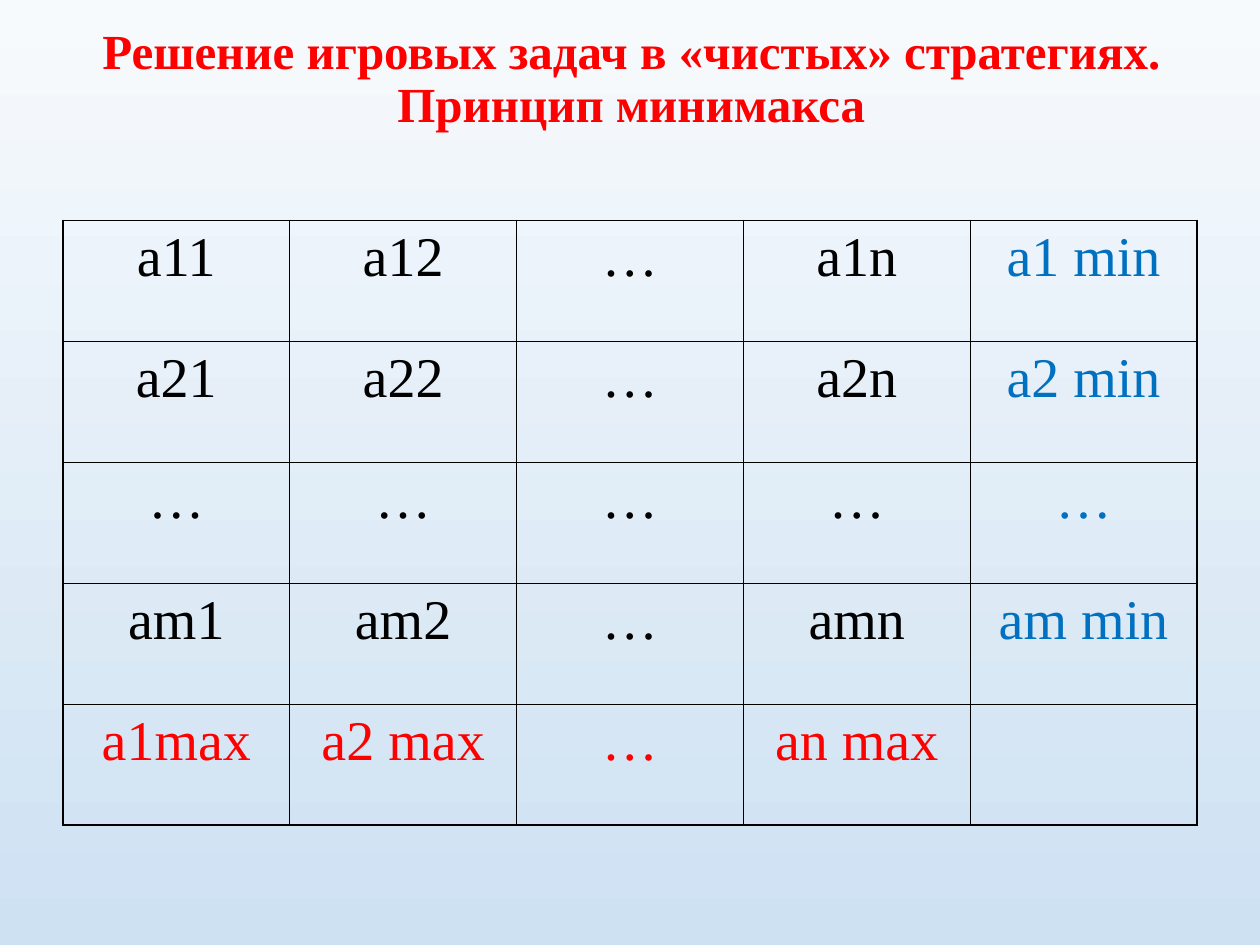
from lxml.etree import SubElement
from pptx import Presentation
from pptx.dml.color import RGBColor
from pptx.enum.text import MSO_ANCHOR, PP_ALIGN
from pptx.oxml.ns import qn
from pptx.util import Pt

COLORS = {
    "sky_top": "F7FAFD",
    "sky_bottom": "CEE1F2",
    "text": "000000",
    "border": "000000",
    "row_min": "0070C0",
    "col_max": "FF0000",
    "title": "FF0000",
}
TITLE = "Решение игровых задач в «чистых» стратегиях. Принцип минимакса"
PAYOFFS = [
    ["а11", "а12", "…", "а1n", "a1 min"],
    ["а21", "а22", "…", "а2n", "a2 min"],
    ["…", "…", "…", "…", "…"],
    ["аm1", "аm2", "…", "аmn", "am min"],
    ["а1max", "а2 max", "…", "аn max", ""],
]


class SlideBuilder:
    font = "Times New Roman"
    outer, inner = 1.08, 0.45

    def __init__(self, s):
        self.s = s

    def color(self, name):
        return RGBColor.from_string(COLORS[name])

    def background(self, top, bottom):
        fill = self.s.background.fill
        fill.gradient()
        fill.gradient_angle = 270
        for stop, name in zip(fill.gradient_stops, (top, bottom)):
            stop.color.rgb = self.color(name)

    def set_text(self, tf, text, size, color, bold=False):
        tf.text = text
        p = tf.paragraphs[0]
        p.alignment = PP_ALIGN.CENTER
        for r in p.runs:
            r.font.name = self.font
            r.font.size = Pt(size)
            r.font.bold = bold
            r.font.color.rgb = self.color(color)
        return p

    def title(self, text, x, y, w, h):
        sp = self.s.shapes.title
        sp.left, sp.top, sp.width, sp.height = Pt(x), Pt(y), Pt(w), Pt(h)
        tf = sp.text_frame
        tf.word_wrap = True
        tf.vertical_anchor = MSO_ANCHOR.MIDDLE
        self.set_text(tf, text, 28, "title", bold=True).line_spacing = 0.9

    def borders(self, cell, widths):
        tcPr = cell._tc.get_or_add_tcPr()
        for side, width in zip("LRTB", widths):
            ln = SubElement(tcPr, qn(f"a:ln{side}"), w=str(Pt(width)))
            fill = SubElement(ln, qn("a:solidFill"))
            SubElement(fill, qn("a:srgbClr"), val=COLORS["border"])

    def table(self, rows, x, y, col_w, row_h):
        n, m = len(rows), len(rows[0])
        frame = self.s.shapes.add_table(n, m, Pt(x), Pt(y), Pt(col_w * m), Pt(row_h * n))
        tbl = frame.table
        tbl.first_row = tbl.horz_banding = False
        for col in tbl.columns:
            col.width = Pt(col_w)
        for i, row in enumerate(rows):
            tbl.rows[i].height = Pt(row_h)
            for j, text in enumerate(row):
                cell = tbl.cell(i, j)
                # Last column holds row minima, last row column maxima
                color = "row_min" if j == m - 1 else "col_max" if i == n - 1 else "text"
                self.set_text(cell.text_frame, text, 32, color)
                edges = (j == 0, j == m - 1, i == 0, i == n - 1)
                self.borders(cell, [self.outer if e else self.inner for e in edges])
                cell.fill.background()


def main():
    prs = Presentation()
    prs.slide_width, prs.slide_height = Pt(720), Pt(540)
    slide = SlideBuilder(prs.slides.add_slide(prs.slide_layouts[5]))

    # Background and heading
    slide.background("sky_top", "sky_bottom")
    slide.title(TITLE, 36.7, 9.4, 648, 73)

    # Payoff matrix
    slide.table(PAYOFFS, 36, 126, 129.6, 69.12)

    prs.save("out.pptx")


if __name__ == "__main__":
    main()
